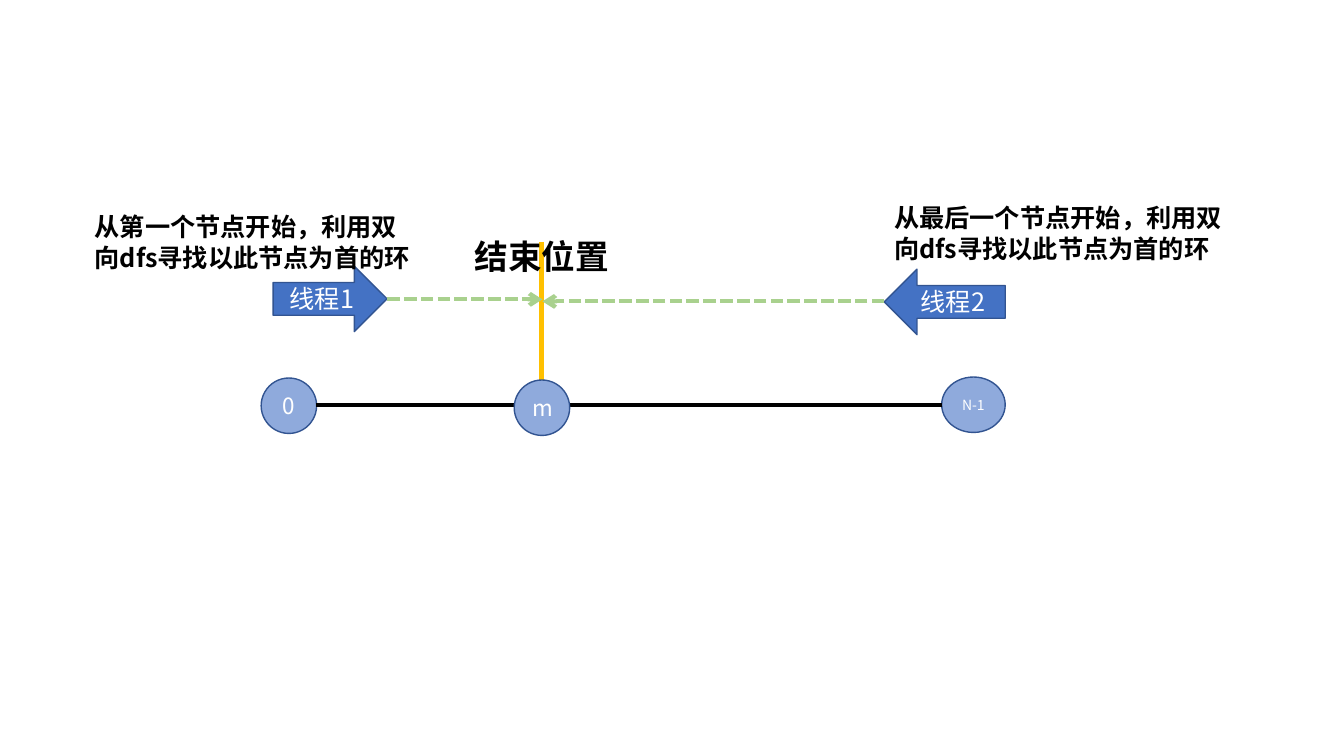
import pptx
import pptx.dml.color
import pptx.enum.dml
import pptx.enum.shapes
import pptx.enum.text
import pptx.oxml.ns
import pptx.util
from lxml import etree

Inches = pptx.util.Inches
Pt = pptx.util.Pt
RGBColor = pptx.dml.color.RGBColor
MSO_SHAPE = pptx.enum.shapes.MSO_SHAPE
qn = pptx.oxml.ns.qn

BLACK = RGBColor(0x00, 0x00, 0x00)
WHITE = RGBColor(0xFF, 0xFF, 0xFF)
NODE_BLUE = RGBColor(0x8F, 0xAA, 0xDC)
THREAD_BLUE = RGBColor(0x44, 0x72, 0xC4)
OUTLINE_BLUE = RGBColor(0x32, 0x54, 0x91)
END_YELLOW = RGBColor(0xFF, 0xC0, 0x00)
SCAN_GREEN = RGBColor(0xA9, 0xD1, 0x8E)


class Diagram:
    font_name = "Noto Sans CJK SC"
    line_width = 3
    line_height = 1.2

    def __init__(self, slide):
        self.slide = slide

    def add_run(self, paragraph, text, size, color, bold=False):
        run = paragraph.add_run()
        run.text = text
        run.font.name = self.font_name
        run.font.size = Pt(size)
        run.font.bold = bold
        run.font.color.rgb = color
        east_asian = etree.SubElement(run.font._element, qn("a:ea"))
        east_asian.set("typeface", self.font_name)

    def add_block(self, kind, left, top, width, height, fill, text, size):
        shape = self.slide.shapes.add_shape(
            kind, Inches(left), Inches(top), Inches(width), Inches(height))
        shape.shadow.inherit = False
        shape.fill.solid()
        shape.fill.fore_color.rgb = fill
        shape.line.color.rgb = OUTLINE_BLUE
        shape.line.width = Pt(1)
        shape.text_frame.vertical_anchor = pptx.enum.text.MSO_ANCHOR.MIDDLE
        paragraph = shape.text_frame.paragraphs[0]
        paragraph.alignment = pptx.enum.text.PP_ALIGN.CENTER
        self.add_run(paragraph, text, size, WHITE)

    def add_node(self, left, top, width, text, size=16):
        self.add_block(MSO_SHAPE.OVAL, left, top, width, 0.55,
                       NODE_BLUE, text, size)

    def add_thread(self, kind, left, top, width, text):
        self.add_block(kind, left, top, width, 0.65, THREAD_BLUE, text, 18)

    def add_line(self, start, end, color):
        connector = self.slide.shapes.add_connector(
            pptx.enum.shapes.MSO_CONNECTOR.STRAIGHT,
            Inches(start[0]), Inches(start[1]), Inches(end[0]), Inches(end[1]))
        connector.line.color.rgb = color
        connector.line.width = Pt(self.line_width)
        etree.SubElement(connector._element.spPr, qn("a:effectLst"))
        return connector

    def add_scan(self, start, end):
        connector = self.add_line(start, end, SCAN_GREEN)
        connector.line.dash_style = pptx.enum.dml.MSO_LINE.SQUARE_DOT
        arrowhead = etree.SubElement(connector.line._ln, qn("a:tailEnd"))
        arrowhead.set("type", "arrow")

    def add_label(self, left, top, width, height, lines, size):
        box = self.slide.shapes.add_textbox(
            Inches(left), Inches(top), Inches(width), Inches(height))
        frame = box.text_frame
        frame.word_wrap = True
        frame.margin_top = Inches(0.08)
        for index, text in enumerate(lines):
            paragraph = frame.add_paragraph() if index else frame.paragraphs[0]
            paragraph.line_spacing = Pt(size * self.line_height)
            self.add_run(paragraph, text, size, BLACK, bold=True)


def main():
    presentation = pptx.Presentation()
    presentation.slide_width = Inches(13.33)
    presentation.slide_height = Inches(7.5)
    slide = presentation.slides.add_slide(presentation.slide_layouts[6])
    diagram = Diagram(slide)

    diagram.add_node(2.59, 3.75, 0.55, "0")
    diagram.add_node(9.34, 3.74, 0.63, "N-1", 10)
    diagram.add_line((3.13, 4.02), (9.34, 4.02), BLACK)

    diagram.add_thread(MSO_SHAPE.RIGHT_ARROW, 2.71, 2.64, 1.13, "线程1")
    diagram.add_thread(MSO_SHAPE.LEFT_ARROW, 8.77, 2.67, 1.2, "线程2")

    diagram.add_line((5.37, 2.4), (5.37, 3.78), END_YELLOW)
    diagram.add_scan((3.84, 2.97), (5.38, 2.97))
    diagram.add_scan((8.77, 2.99), (5.38, 2.99))

    search_line = "向dfs寻找以此节点为首的环"
    diagram.add_label(4.61, 2.26, 1.72, 0.5, ["结束位置"], 24)
    diagram.add_label(0.84, 2.02, 3.38, 0.71,
                      ["从第一个节点开始，利用双", search_line], 18)
    diagram.add_label(8.77, 1.93, 3.51, 0.71,
                      ["从最后一个节点开始，利用双", search_line], 18)
    diagram.add_node(5.1, 3.77, 0.55, "m")

    presentation.save("out.pptx")


if __name__ == "__main__":
    main()
